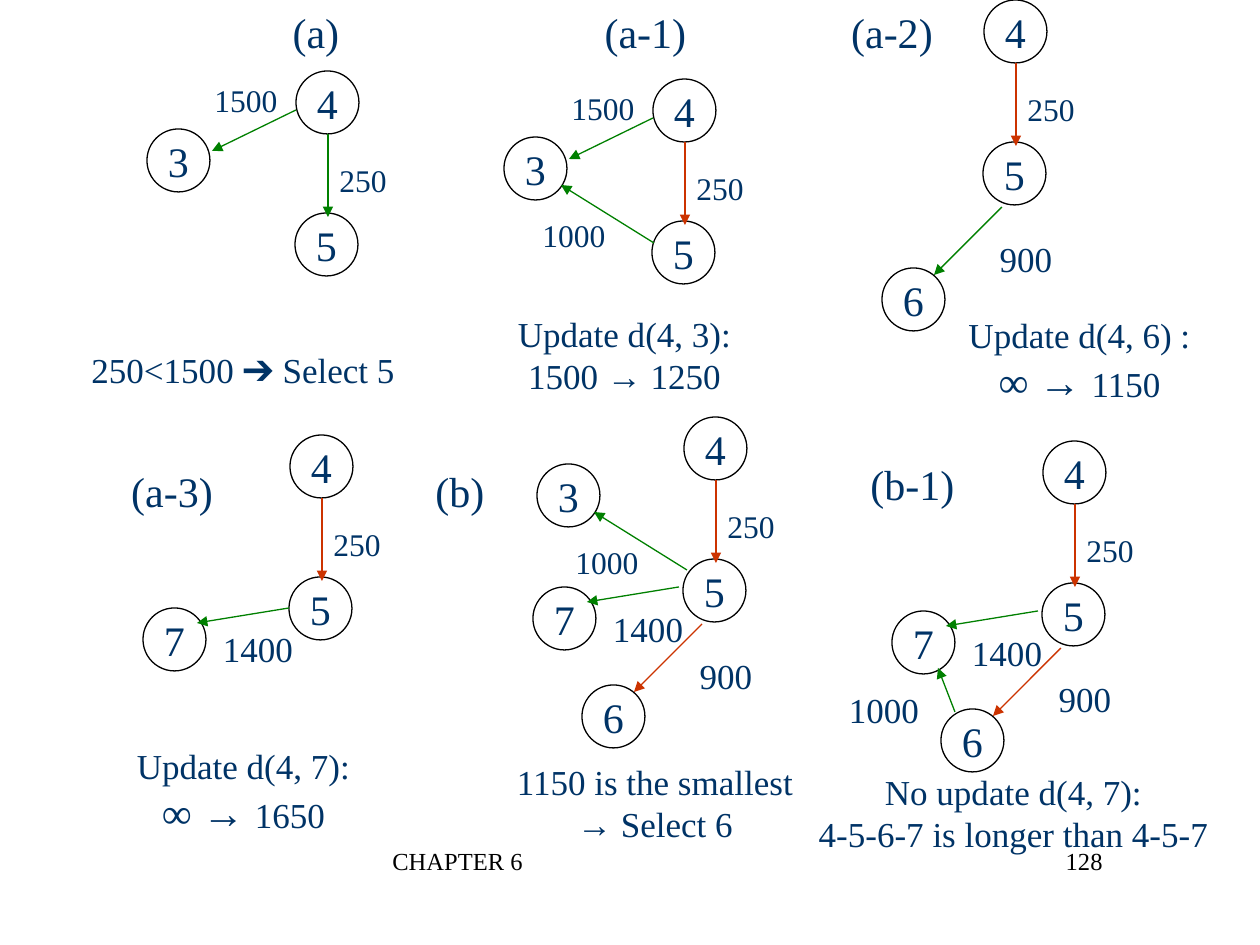
from dataclasses import dataclass

from lxml.etree import SubElement
from pptx import Presentation
from pptx.dml.color import RGBColor
from pptx.enum.shapes import MSO_CONNECTOR, MSO_SHAPE
from pptx.enum.text import MSO_ANCHOR, MSO_AUTO_SIZE, PP_ALIGN
from pptx.oxml.ns import qn
from pptx.util import Pt

PX = 914400 // 126  # EMU per px
SLIDE_SIZE = (1260, 945)
NODE = 63  # circle diameter


@dataclass(frozen=True)
class Theme:
    font: str = "Times New Roman"
    text: RGBColor = RGBColor(0x00, 0x33, 0x66)
    black: RGBColor = RGBColor(0, 0, 0)
    candidate: RGBColor = RGBColor(0x00, 0x80, 0x00)
    chosen: RGBColor = RGBColor(0xCC, 0x33, 0x00)
    large: int = 24
    body: int = 20
    small: int = 18
    footer: int = 14
    line: float = 0.75


THEME = Theme()

# Content: all offsets are measured from the top left of node 4
NODE_OFFSETS = {4: (0, 0), 5: (-1, 142), 3: (-149, 58), 6: (-102, 268), 7: (-151, 170)}

# edge: start, end, weight, label box, label size
EDGES = {
    (4, 5): ((32, 63), (32, 146), "250", (31, 84, 73, 50), THEME.small),
    (4, 3): ((0, 39), (-84, 80), "1500", (-94, 4, 88, 50), THEME.small),
    (5, 3): ((1, 164), (-92, 106), "1000", (-123, 131, 88, 50), THEME.small),
    (5, 6): ((18, 207), (-50, 275), "900", (3, 231, 78, 54), THEME.body),
    (5, 7): ((-5, 170), (-97, 185), "1400", (-84, 184, 96, 54), THEME.body),
    (6, 7): ((-88, 271), (-105, 227), "1000", (-207, 241, 96, 54), THEME.body),
}

# Captions are lines of (text, size) runs; shifts move a node and the edges into it
STEPS = [
    dict(title="(a)", title_box=(280, 0, 72, 63), origin=(296, 71),
         edges=[(4, 3), (4, 5)], chosen=[], shifts={},
         caption=[[("250<1500 ➔ Select 5", THEME.body)]],
         caption_box=(74, 342, 338, 55)),
    dict(title="(a-1)", title_box=(590, 0, 111, 63), origin=(653, 79),
         edges=[(4, 3), (4, 5), (5, 3)], chosen=[(4, 5)], shifts={},
         caption=[[("Update d(4, 3):", THEME.body)], [("1500 → 1250", THEME.body)]],
         caption_box=(504, 306, 241, 97)),
    dict(title="(a-2)", title_box=(838, 0, 108, 63), origin=(984, 0),
         edges=[(4, 5), (5, 6)], chosen=[(4, 5)], shifts={},
         caption=[[("Update d(4, 6) :", THEME.body)],
                  [("∞ → ", THEME.large), ("1150", THEME.body)]],
         caption_box=(955, 307, 249, 106)),
    dict(title="(a-3)", title_box=(118, 459, 108, 63), origin=(290, 435),
         edges=[(4, 5), (5, 7)], chosen=[(4, 5)], shifts={7: (4, 3)},
         caption=[[("Update d(4, 7):", THEME.body)],
                  [("∞ → ", THEME.large), ("1650", THEME.body)]],
         caption_box=(123, 738, 241, 106)),
    dict(title="(b)", title_box=(423, 459, 74, 63), origin=(684, 417),
         edges=[(4, 5), (5, 6), (5, 7), (5, 3)], chosen=[(4, 5), (5, 6)],
         shifts={3: (2, -11)},
         caption=[[("1150 is the smallest", THEME.body)], [("→ Select 6", THEME.body)]],
         caption_box=(503, 754, 304, 97)),
    dict(title="(b-1)", title_box=(857, 452, 111, 63), origin=(1043, 441),
         edges=[(4, 5), (5, 6), (5, 7), (6, 7)], chosen=[(4, 5), (5, 6)], shifts={},
         caption=[[("No update d(4, 7):", THEME.body)],
                  [("4-5-6-7 is longer than 4-5-7", THEME.body)]],
         caption_box=(805, 764, 417, 97)),
]

FOOTERS = [
    ("CHAPTER 6", (380, 840, 400, 63), PP_ALIGN.LEFT),
    ("128", (853, 840, 262, 63), PP_ALIGN.RIGHT),
]


def emu(*lengths):
    return [length * PX for length in lengths]


def move(point, *shifts):
    return tuple(map(sum, zip(point, *shifts)))


def write(text_frame, lines, align, color):
    for index, line in enumerate(lines):
        paragraph = text_frame.paragraphs[0] if index == 0 else text_frame.add_paragraph()
        paragraph.alignment = align
        for text, size in line:
            run = paragraph.add_run()
            run.text = text
            run.font.name = THEME.font
            run.font.size = Pt(size)
            run.font.color.rgb = color


def add_label(slide, box, lines, align=PP_ALIGN.CENTER):
    text_frame = slide.shapes.add_textbox(*emu(*box)).text_frame
    text_frame.word_wrap = False
    text_frame.auto_size = MSO_AUTO_SIZE.SHAPE_TO_FIT_TEXT
    text_frame.vertical_anchor = MSO_ANCHOR.MIDDLE
    write(text_frame, lines, align, THEME.text)


def add_node(slide, number, position):
    shape = slide.shapes.add_shape(MSO_SHAPE.OVAL, *emu(*position, NODE, NODE))
    shape.shadow.inherit = False
    shape.fill.background()
    shape.line.color.rgb = THEME.black
    shape.line.width = Pt(THEME.line)
    text_frame = shape.text_frame
    text_frame.margin_left = text_frame.margin_right = 0
    text_frame.margin_top = text_frame.margin_bottom = 0
    text_frame.word_wrap = False
    text_frame.vertical_anchor = MSO_ANCHOR.MIDDLE
    write(text_frame, [[(str(number), THEME.large)]], PP_ALIGN.CENTER, THEME.text)


def add_arrow(slide, start, end, color):
    connector = slide.shapes.add_connector(MSO_CONNECTOR.STRAIGHT, *emu(*start, *end))
    connector.line.color.rgb = color
    connector.line.width = Pt(THEME.line)
    SubElement(connector.line._get_or_add_ln(), qn("a:tailEnd"), type="triangle")
    SubElement(connector._element.spPr, qn("a:effectLst"))


def add_step(slide, step):
    origin, shifts = step["origin"], step["shifts"]
    # Nodes
    for number in sorted({node for edge in step["edges"] for node in edge}):
        shift = shifts.get(number, (0, 0))
        add_node(slide, number, move(NODE_OFFSETS[number], origin, shift))
    # Edges with their weights
    for edge in step["edges"]:
        start, end, weight, (left, top, width, height), size = EDGES[edge]
        shift = shifts.get(edge[1], (0, 0))
        color = THEME.chosen if edge in step["chosen"] else THEME.candidate
        add_arrow(slide, move(start, origin, shift), move(end, origin, shift), color)
        align = PP_ALIGN.LEFT if edge == (4, 5) else PP_ALIGN.CENTER
        box = (*move((left, top), origin, shift), width, height)
        add_label(slide, box, [[(weight, size)]], align)
    # Title and caption
    add_label(slide, step["title_box"], [[(step["title"], THEME.large)]])
    add_label(slide, step["caption_box"], step["caption"])


def main():
    presentation = Presentation()
    presentation.slide_width, presentation.slide_height = emu(*SLIDE_SIZE)
    slide = presentation.slides.add_slide(presentation.slide_layouts[6])

    # Footer
    for text, box, align in FOOTERS:
        text_frame = slide.shapes.add_textbox(*emu(*box)).text_frame
        text_frame.word_wrap = True
        write(text_frame, [[(text, THEME.footer)]], align, THEME.black)

    # Steps of the algorithm
    for step in STEPS:
        add_step(slide, step)

    presentation.save("out.pptx")


if __name__ == "__main__":
    main()
